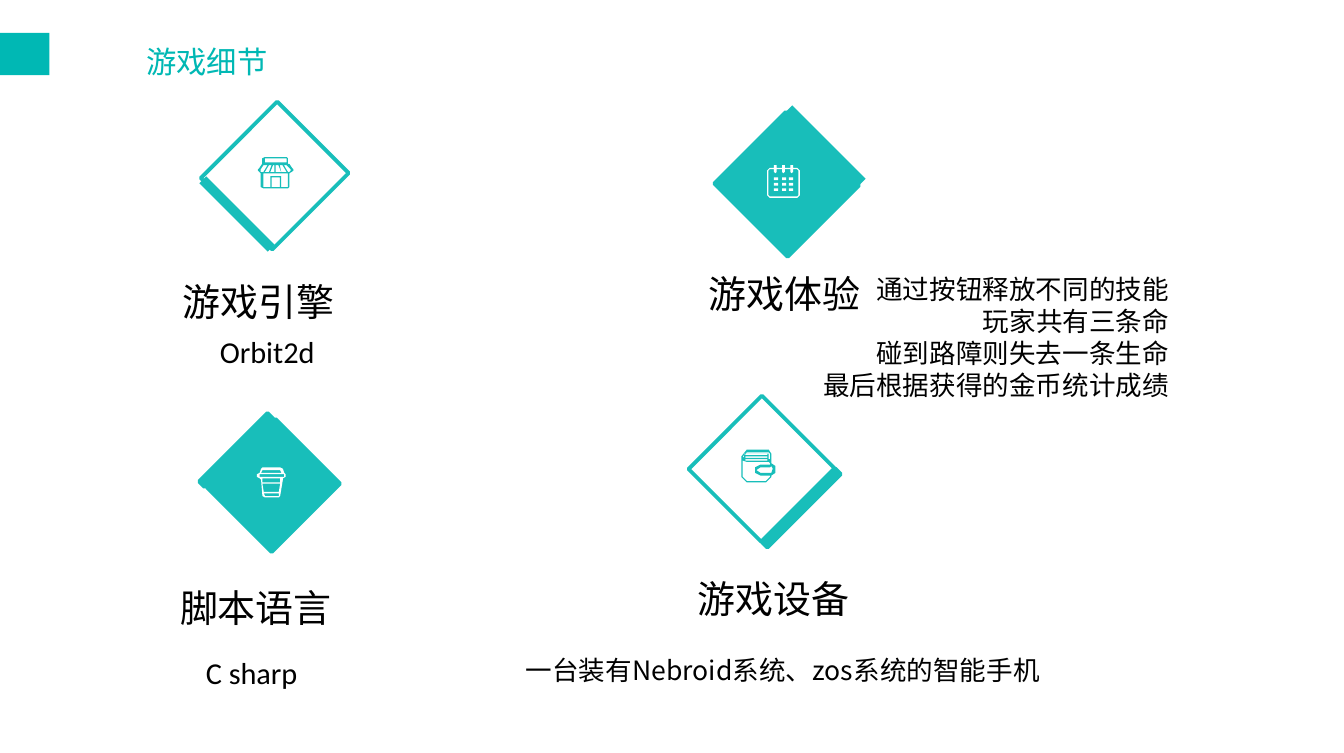
from lxml.etree import SubElement
from pptx import Presentation
from pptx.dml.color import RGBColor
from pptx.enum.shapes import MSO_SHAPE
from pptx.enum.text import MSO_AUTO_SIZE, PP_ALIGN
from pptx.oxml.ns import qn
from pptx.util import Cm, Pt

COLORS = {"teal": "18BEBA", "title": "00B8B4", "white": "FFFFFF", "text": "000000"}
CHINESE, LATIN = "Noto Sans CJK SC", "Calibri"
LEFT, RIGHT, CENTER = PP_ALIGN.LEFT, PP_ALIGN.RIGHT, PP_ALIGN.CENTER
ICON_UNIT = Cm(2.54) / 100
HEADING_SIZE = (3.35, 1.12)


def box(left, top, right, bottom):
    return [(left, top), (right, top), (right, bottom), (left, bottom)]


STORE = [
    [(25, 8), (23, 5), (22, 5), (22, 1), (21, 0), (5, 0), (3, 1), (3, 5), (1, 8), (0, 9),
     (0, 10), (2, 12), (2, 22), (4, 23), (22, 23), (23, 22), (23, 12), (26, 10), (26, 9)],
    [(22, 22), (17, 22), (17, 14), (9, 14), (9, 22), (4, 22), (4, 12), (22, 12)],
    [(24, 10), (23, 11), (22, 11), (19, 6), (21, 6), (24, 9)],
    [(2, 10), (2, 9), (4, 6), (7, 6), (4, 11), (2, 11)],
    [(16, 6), (18, 6), (21, 11), (17, 11)],
    [(13, 6), (15, 6), (17, 11), (13, 11)],
    [(11, 6), (12, 6), (12, 11), (9, 11)],
    [(8, 11), (5, 11), (8, 6), (10, 6)],
    box(10, 15, 16, 22),
    box(5, 1, 21, 4),
]
CALENDAR = [
    [(22, 2), (19, 2), (19, 0), (17, 0), (17, 2), (13, 2), (13, 0), (11, 0), (11, 2), (7, 2),
     (7, 0), (5, 0), (5, 2), (2, 2), (0, 4), (0, 22), (2, 24), (22, 24), (24, 22), (24, 4)],
    [(23, 22), (22, 23), (2, 23), (1, 22), (1, 4), (2, 3), (5, 3), (5, 5), (6, 6), (7, 5),
     (7, 3), (11, 3), (11, 5), (12, 6), (13, 5), (13, 3), (17, 3), (17, 5), (18, 6),
     (19, 5), (19, 3), (22, 3), (23, 4)],
] + [box(x, y, x + 3, y + 2) for x in (5, 11, 16) for y in (9, 13, 17)]
CUP = [
    [(20, 4), (19, 1), (17, 0), (4, 0), (3, 1), (2, 4), (0, 5), (0, 7), (2, 8), (3, 9),
     (4, 21), (6, 22), (16, 22), (17, 21), (19, 9), (19, 8), (21, 7), (21, 5)],
    [(4, 2), (17, 2), (18, 4), (3, 4)],
    [(16, 18), (5, 18), (4, 12), (17, 12)],
    [(6, 21), (5, 19), (16, 19), (16, 21)],
    box(2, 5, 20, 7),
    box(4, 8, 17, 11),
]
WALLET = [
    [(22, 10), (22, 3), (20, 0), (4, 0), (0, 5), (0, 20), (4, 24), (18, 24), (22, 20),
     (22, 19), (25, 17), (25, 12)],
    [(22, 17), (14, 17), (11, 15), (14, 13), (21, 13), (22, 12), (23, 14)],
    [(21, 20), (18, 23), (4, 23), (1, 20), (1, 8), (4, 9), (20, 9), (21, 10), (21, 11),
     (14, 11), (10, 13), (10, 17), (14, 19), (21, 19)],
    [(4, 2), (20, 2), (21, 3), (21, 7), (20, 7), (20, 3), (2, 3), (2, 6), (1, 5)],
] + [box(3, y, 19, y + 1) for y in (3, 5, 7)]

# fmt: off
BADGES = [
    {"diamond": (13.67, 2.49, 1.93, 1.88), "fill": "teal", "strip": (15.29, 1.73, 0.15, 1.93),
     "turn": 135, "strip_line": None, "icon": CALENDAR, "icon_at": (14.27, 3.07)},
    {"diamond": (4.17, 2.26, 1.88, 2.01), "fill": "white", "strip": (3.51, 3.89, 1.8, 0.18),
     "turn": 45, "strip_line": None, "icon": STORE, "icon_at": (4.8, 2.92)},
    {"diamond": (4.24, 8.13, 1.7, 1.8), "fill": "teal", "strip": (4.32, 7.47, 0.15, 1.8),
     "turn": 45, "strip_line": "teal", "icon": CUP, "icon_at": (4.78, 8.69)},
    {"diamond": (13.21, 7.75, 1.91, 1.93), "fill": "white", "strip": (14.83, 8.48, 0.15, 1.93),
     "turn": 225, "strip_line": "teal", "icon": WALLET, "icon_at": (13.79, 8.36)},
]
HEADINGS = [("游戏引擎", 3.15, 5.05), ("脚本语言", 3.1, 10.74),
            ("游戏体验", 12.93, 4.9), ("游戏设备", 12.73, 10.57)]
DETAILS = [
    (["Orbit2d"], (3.84, 6.07, 2.34, 0.94), 16, LATIN, LEFT, False),
    (["C sharp"], (3.58, 12.04, 2.36, 0.94), 16, LATIN, LEFT, False),
    (["通过按钮释放不同的技能", "玩家共有三条命", "碰到路障则失去一条生命", "最后根据获得的金币统计成绩"],
     (15.01, 4.95, 6.99, 2.64), 14, CHINESE, RIGHT, False),
    (["一台装有Nebroid系统、zos系统的智能手机"], (9.53, 12.04, 10.11, 0.86), 14, CHINESE, LEFT, True),
]


def paint(shape, fill, line=None):
    shape.shadow.inherit = False
    shape.fill.solid()
    shape.fill.fore_color.rgb = RGBColor.from_string(COLORS[fill])
    if line:
        shape.line.color.rgb = RGBColor.from_string(COLORS[line])
        shape.line.width = Pt(2)
    else:
        shape.line.fill.background()


def add_rectangle(slide, place, fill, line=None, turn=0):
    shape = slide.shapes.add_shape(MSO_SHAPE.RECTANGLE, *map(Cm, place))
    shape.rotation = turn
    paint(shape, fill, line)


def add_icon(slide, contours, place, fill):
    builder = slide.shapes.build_freeform(*contours[0][0], scale=ICON_UNIT)
    builder.add_line_segments(contours[0][1:], close=True)
    for contour in contours[1:]:
        builder.move_to(*contour[0])
        builder.add_line_segments(contour[1:], close=True)
    paint(builder.convert_to_shape(*map(Cm, place)), fill)


def add_text(slide, lines, place, size, font, align=LEFT, wrap=False, color="text"):
    frame = slide.shapes.add_textbox(*map(Cm, place)).text_frame
    frame.word_wrap = wrap
    frame.auto_size = MSO_AUTO_SIZE.SHAPE_TO_FIT_TEXT
    frame.text = "\n".join(lines)
    for paragraph in frame.paragraphs:
        paragraph.alignment = align
        paragraph.font.size = Pt(size)
        paragraph.font.name = font
        paragraph.font.color.rgb = RGBColor.from_string(COLORS[color])
        properties = paragraph._p.pPr.find(qn("a:defRPr"))
        SubElement(properties, qn("a:ea")).set("typeface", font)
    return frame


def main():
    presentation = Presentation()
    presentation.slide_width, presentation.slide_height = Cm(25), Cm(14)
    slide = presentation.slides.add_slide(presentation.slide_layouts[6])
    for badge in BADGES:
        add_rectangle(slide, badge["diamond"], badge["fill"], "teal", 45)
        add_rectangle(slide, badge["strip"], "teal", badge["strip_line"], badge["turn"])
        icon_color = "white" if badge["fill"] == "teal" else "teal"
        add_icon(slide, badge["icon"], badge["icon_at"], icon_color)
    add_rectangle(slide, (-2.69, 0.61, 3.61, 0.79), "title")
    title = add_text(slide, ["游戏细节"], (2.26, 0.66, 3.18, 1.19), 16, CHINESE, CENTER, True, "title")
    title.auto_size = MSO_AUTO_SIZE.NONE
    title.margin_left = title.margin_right = title.margin_top = title.margin_bottom = 0
    title.paragraphs[0].line_spacing = 1.2
    for heading, left, top in HEADINGS:
        add_text(slide, [heading], (left, top, *HEADING_SIZE), 20, CHINESE)
    for detail in DETAILS:
        add_text(slide, *detail)
    presentation.save("out.pptx")


if __name__ == "__main__":
    main()
